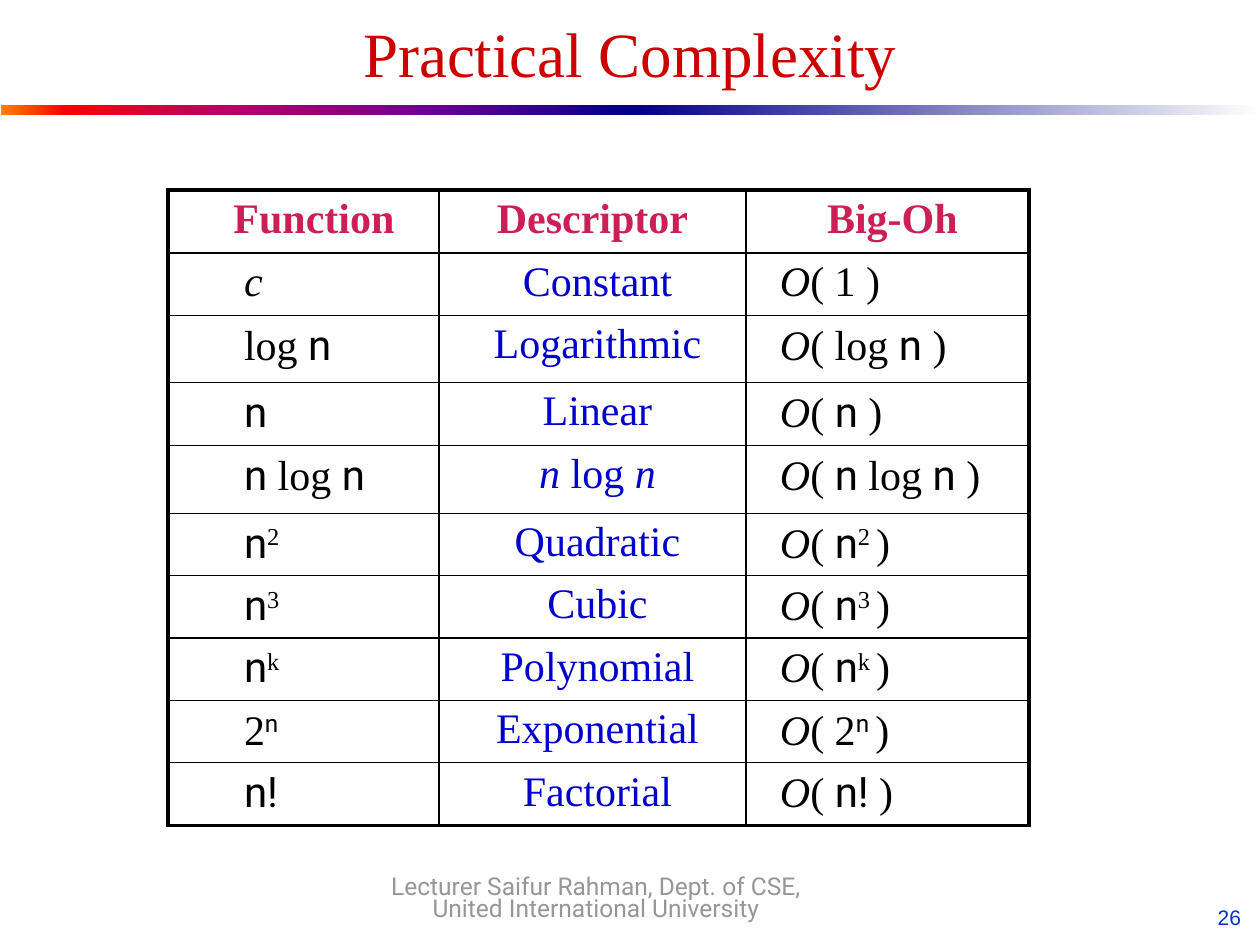
from lxml import etree
from pptx import Presentation
from pptx import util as u
from pptx.dml import color
from pptx.enum import shapes, text
from pptx.oxml import ns

SERIF, SANS, ARIAL = "Times New Roman", "Roboto", "Arial"
BLACK, BLUE, CRIMSON = "000000", "0000CC", "CC1F55"
CENTER, LEFT, RIGHT = text.PP_ALIGN.CENTER, text.PP_ALIGN.LEFT, text.PP_ALIGN.RIGHT

N = ("n", {"font": SANS})
LOG = ("log ", {})


def sup(t, font=SERIF):
    return (t, {"font": font, "baseline": 30})


HEADERS = ["Function", "Descriptor", "Big-Oh"]
FUNCTIONS = [
    ([("c", {"italic": True})], "Constant"),
    ([LOG, N], "Logarithmic"),
    ([N], "Linear"),
    ([N, (" log ", {}), N], [("n", {"italic": True}), (" log ", {}), ("n", {"italic": True})]),
    ([N, sup("2")], "Quadratic"),
    ([N, sup("3")], "Cubic"),
    ([N, sup("k")], "Polynomial"),
    ([("2", {}), sup("n", SANS)], "Exponential"),
    ([("n!", {"font": SANS})], "Factorial"),
]
COL_WIDTHS = [271, 307, 283]
ROW_HEIGHTS = [63, 59, 67, 63, 68, 62, 62, 62, 62, 63]


def px(n):
    return u.Emu(round(n * 914400 / 126))


def rgb(hex_color):
    return color.RGBColor.from_string(hex_color)


def add_run(p, t, size=24, font=SERIF, fill=BLACK, bold=False, italic=False, baseline=0):
    r = p.add_run()
    r.text = t
    r.font.size, r.font.name = u.Pt(size), font
    r.font.bold, r.font.italic = bold, italic
    r.font.color.rgb = rgb(fill)
    if baseline:
        r.font._element.set("baseline", str(baseline * 1000))


def write(tf, runs, align=LEFT, **fmt):
    p = tf.paragraphs[0]
    p.alignment = align
    for t, own in [(runs, {})] if isinstance(runs, str) else runs:
        add_run(p, t, **{**fmt, **own})
    return p


def place(sp, x, y, w, h):
    sp.left, sp.top, sp.width, sp.height = px(x), px(y), px(w), px(h)


def add_title(s, x, y, w, h):
    sp = s.shapes.title
    place(sp, x, y, w, h)
    tf = sp.text_frame
    tf.auto_size = text.MSO_AUTO_SIZE.NONE
    tf.vertical_anchor = text.MSO_ANCHOR.MIDDLE
    write(tf, "Practical Complexity", CENTER, size=36, fill="CC0000")


def add_gradient_bar(s, x, y, w, h, stops):
    sp = s.shapes.add_shape(shapes.MSO_SHAPE.RECTANGLE, px(x), px(y), px(w), px(h))
    sp.shadow.inherit = False
    sp.line.fill.background()
    sp.fill.gradient()
    sp.fill.gradient_angle = 0
    gs_list = sp._element.spPr.find(".//" + ns.qn("a:gsLst"))
    for gs in list(gs_list):
        gs_list.remove(gs)
    for pos, hex_color in stops:
        gs = etree.SubElement(gs_list, ns.qn("a:gs"), pos=str(pos * 1000))
        etree.SubElement(gs, ns.qn("a:srgbClr"), val=hex_color)


def add_divider(s, x, y, w, h):
    half = w // 2
    warm = [(0, "FF8200"), (10, "FF0000"), (35, "BA0066"), (70, "66008F"), (100, "000082")]
    add_gradient_bar(s, x, y, half, h, warm)
    add_gradient_bar(s, x + half, y, half, h, [(0, "000082"), (100, "FFFFFF")])


def set_borders(cell, **widths):
    tc_pr = cell._tc.get_or_add_tcPr()
    for side in "LRTB":
        ln = etree.SubElement(tc_pr, ns.qn("a:ln" + side), w=str(u.Pt(widths[side])))
        fill = etree.SubElement(ln, ns.qn("a:solidFill"))
        etree.SubElement(fill, ns.qn("a:srgbClr"), val=BLACK)


def big_oh(expr):
    if expr[0][0] == "c":
        expr = [("1", {})]
    last, fmt = expr[-1]
    return [("O", {"italic": True}), ("( ", {}), *expr[:-1], (last + " ", fmt), (")", {})]


def fill_cell(cell, runs, indent, align, **fmt):
    cell.margin_left = px(13 + indent)
    cell.margin_right = px(13)
    cell.margin_top = cell.margin_bottom = px(6)
    write(cell.text_frame, runs, align, **fmt)


def add_complexity_table(s, x, y):
    n_rows, n_cols = len(ROW_HEIGHTS), len(COL_WIDTHS)
    frame = s.shapes.add_table(n_rows, n_cols, px(x), px(y),
                               px(sum(COL_WIDTHS)), px(sum(ROW_HEIGHTS)))
    table = frame.table
    table.first_row = table.horz_banding = False
    for col, w in zip(table.columns, COL_WIDTHS):
        col.width = px(w)
    for row, h in zip(table.rows, ROW_HEIGHTS):
        row.height = px(h)

    for i, (header, indent) in enumerate(zip(HEADERS, [21, 0, 10])):
        fill_cell(table.cell(0, i), header, indent, CENTER, fill=CRIMSON, bold=True)
    for i, (expr, descriptor) in enumerate(FUNCTIONS, 1):
        fill_cell(table.cell(i, 0), expr, 63, LEFT)
        fill_cell(table.cell(i, 1), descriptor, 10, CENTER, fill=BLUE)
        fill_cell(table.cell(i, 2), big_oh(expr), 21, LEFT)

    for i in range(n_rows):
        for j in range(n_cols):
            cell = table.cell(i, j)
            edges = {"L": j == 0, "R": j == n_cols - 1, "T": i == 0, "B": i == n_rows - 1}
            set_borders(cell, **{k: 2.25 if outer else 1 for k, outer in edges.items()})
            cell.fill.background()


def add_text(s, x, y, w, h, t, align, inset=(0, 0), **fmt):
    tf = s.shapes.add_textbox(px(x), px(y), px(w), px(h)).text_frame
    tf.word_wrap = True
    tf.margin_left = tf.margin_right = px(inset[0])
    tf.margin_top = tf.margin_bottom = px(inset[1])
    return write(tf, t, align, **fmt)


def add_footer(s, x, y, w, h):
    p = add_text(s, x, y, w, h, "Lecturer Saifur Rahman, Dept. of CSE, United International University",
                 CENTER, size=14, font=SANS, fill="969696")
    p.line_spacing = u.Pt(12.4)


def add_slide_number(s, x, y, w, h):
    add_text(s, x, y, w, h, "26", RIGHT, (13, 6), size=12, font=ARIAL, fill="0033CC")


def main():
    prs = Presentation()
    prs.slide_width, prs.slide_height = px(1260), px(945)
    s = prs.slides.add_slide(prs.slide_layouts[5])
    add_divider(s, 1, 105, 1260, 10)
    add_slide_number(s, 960, 898, 294, 34)
    add_title(s, 63, 21, 1134, 63)
    add_complexity_table(s, 168, 190)
    add_footer(s, 373, 879, 446, 44)
    prs.save("out.pptx")


if __name__ == "__main__":
    main()
